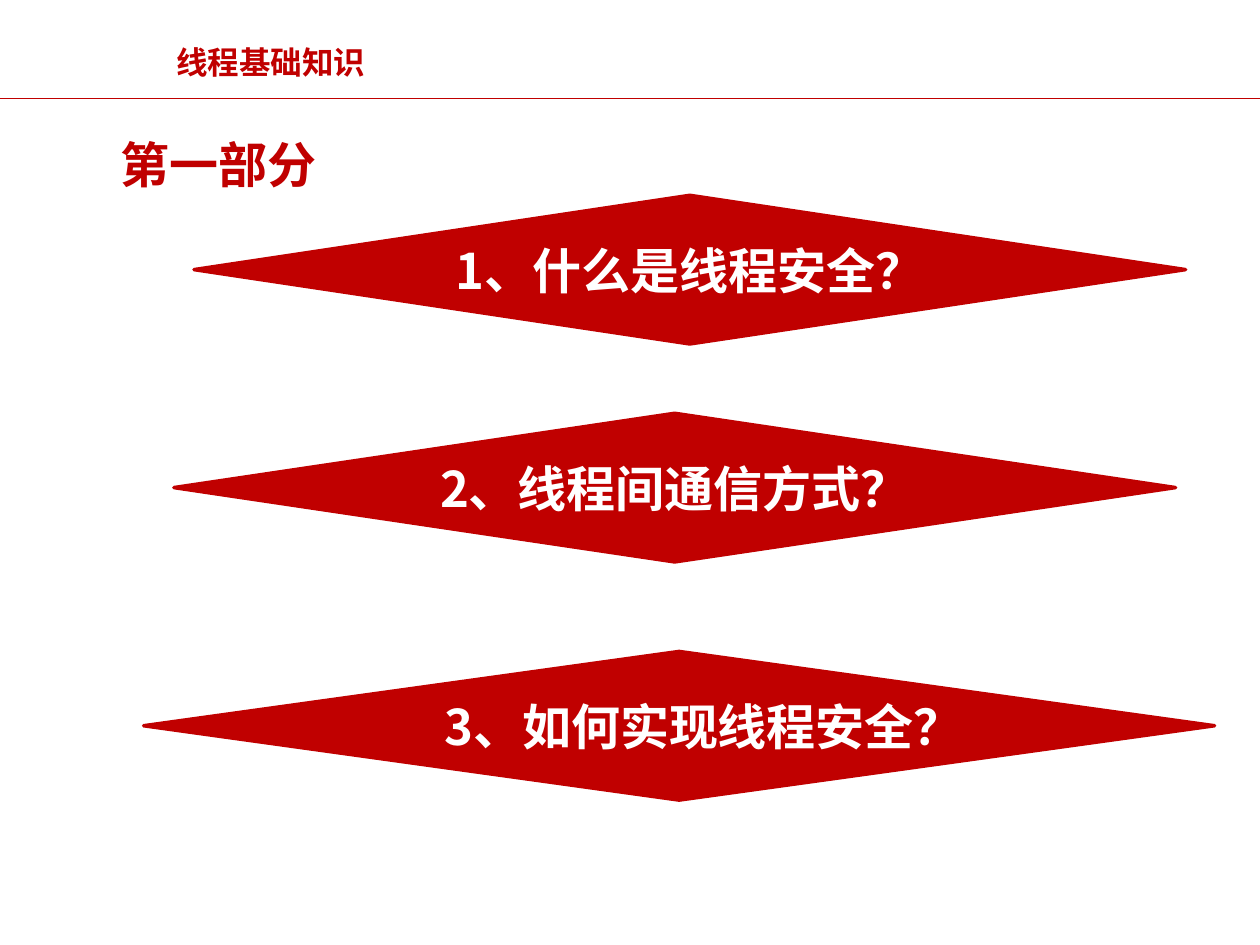
from lxml import etree
from pptx import Presentation
from pptx.dml.color import RGBColor
from pptx.enum import shapes, text
from pptx.oxml import ns
from pptx.util import Pt

COLORS = {"red": "C00000", "white": "FFFFFF"}
FONT = "Noto Sans CJK SC"
TITLE = "线程基础知识"
SECTION = "第一部分"
QUESTIONS = [
    ("1、什么是线程安全？", 110.88, 111.6, 566.64),
    ("2、线程间通信方式？", 99.36, 236.16, 572.4),
    ("3、如何实现线程安全？", 82.08, 372.24, 612),
]
DIAMOND_HEIGHT = 84.96
RULE_Y = 56.16


def rgb(name):
    return RGBColor.from_string(COLORS[name])


def write(tf, content, size, color, align, anchor):
    tf.vertical_anchor = anchor
    p = tf.paragraphs[0]
    p.alignment = align
    r = p.add_run()
    r.text = content
    r.font.size = Pt(size)
    r.font.bold = True
    r.font.name = FONT
    r.font.color.rgb = rgb(color)
    ea = etree.SubElement(r.font._element, ns.qn("a:ea"))
    ea.set("typeface", FONT)


def write_heading(sp, content, size, wrap):
    tf = sp.text_frame
    tf.word_wrap = wrap
    tf.auto_size = text.MSO_AUTO_SIZE.SHAPE_TO_FIT_TEXT
    write(tf, content, size, "red", text.PP_ALIGN.LEFT, text.MSO_ANCHOR.TOP)


def add_rule(s, y):
    rule = s.shapes.add_connector(
        shapes.MSO_CONNECTOR.STRAIGHT, Pt(0), Pt(y), prs.slide_width, Pt(y))
    rule.line.color.rgb = rgb("red")
    rule.line.width = Pt(0.75)
    etree.SubElement(rule._element.spPr, ns.qn("a:effectLst"))


def add_question(s, content, left, top, width):
    sp = s.shapes.add_shape(
        shapes.MSO_SHAPE.FLOWCHART_DECISION,
        Pt(left), Pt(top), Pt(width), Pt(DIAMOND_HEIGHT))
    sp.shadow.inherit = False
    sp.fill.solid()
    sp.fill.fore_color.rgb = rgb("red")
    sp.line.color.rgb = rgb("red")
    sp.line.width = Pt(2)
    write(sp.text_frame, content, 28, "white",
          text.PP_ALIGN.CENTER, text.MSO_ANCHOR.MIDDLE)


prs = Presentation()
prs.slide_width, prs.slide_height = Pt(720), Pt(540)
s = prs.slides.add_slide(prs.slide_layouts[5])

title = s.shapes.title
title.left, title.top, title.width, title.height = map(
    Pt, (93.6, 20.88, 123.84, 28.8))
write_heading(title, TITLE, 18, False)
add_rule(s, RULE_Y)

for question in QUESTIONS:
    add_question(s, *question)

section = s.shapes.add_textbox(Pt(61.92), Pt(73.44), Pt(133.92), Pt(41.04))
write_heading(section, SECTION, 28, True)

prs.save("out.pptx")
